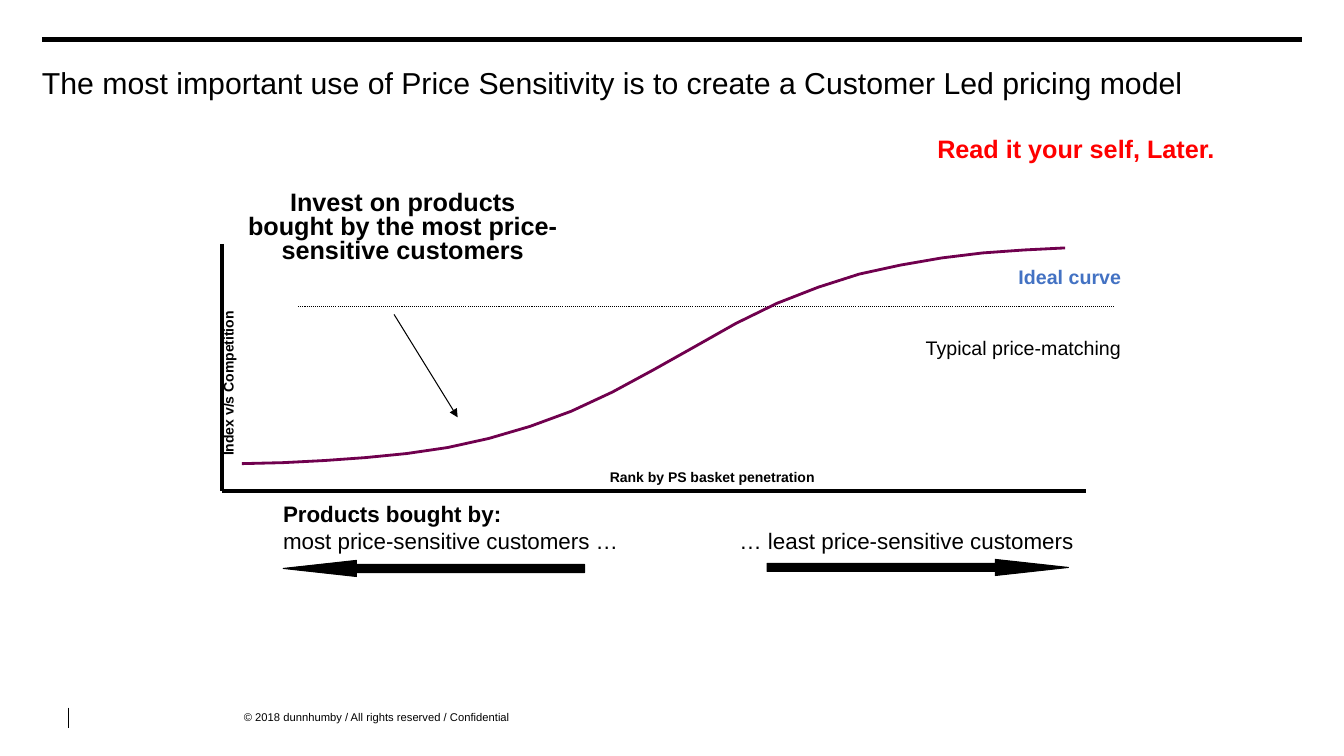
from pptx import Presentation
from pptx.dml.color import RGBColor as Rgb
from pptx.enum.dml import MSO_LINE as Dash
from pptx.enum.shapes import MSO_CONNECTOR as Link, MSO_SHAPE as Form
from pptx.enum.text import MSO_ANCHOR as Anchor, PP_ALIGN as Align
from pptx.oxml.ns import qn
from pptx.util import Pt
from lxml.etree import SubElement as Sub

# Theme
THEME = {
    "font": "Arial",
    "ink": "000000", "blue": "4372C3", "red": "FF0000", "plum": "70004E",
    "title": 21.6, "large": 18, "text": 16, "label": 14, "axis": 10, "foot": 8,
}

# Content: boxes are left, top, width, height
TITLE = ("The most important use of Price Sensitivity is to create "
         "a Customer Led pricing model")
TITLE_BOX = (30, 47.5, 900, 31.7)
PAD = (7.2, 3.6, 7.2, 3.6)
LABELS = [
    dict(text="© 2018 dunnhumby / All rights reserved / Confidential",
         box=(174.2, 507.6, 247.7, 9.4), size="foot", pad=(0, 0, 0, 0)),
    dict(text="Invest on products bought by the most price-sensitive customers",
         box=(151.2, 133.4, 254.9, 68.2), size="large", bold=True,
         align=Align.CENTER, gap=0.8, pad=(25.2, 3.6, 7.2, 3.6)),
    dict(text="Ideal curve", box=(643.7, 185.8, 164.2, 24.5), size="label",
         color="blue", bold=True, align=Align.RIGHT),
    dict(text="Typical price-matching", box=(632.2, 236.2, 175.7, 24.5),
         size="label", align=Align.RIGHT),
    dict(text="Rank by PS basket penetration", box=(338.4, 331.2, 340.6, 19.4),
         size="axis", bold=True, align=Align.CENTER),
    dict(text="Index v/s Competition", box=(55.1, 264.2, 216, 19.4),
         size="axis", bold=True, align=Align.CENTER, turn=270),
    dict(text="Read it your self, Later.", box=(662.4, 91.4, 241.2, 28.8),
         size="large", color="red", bold=True),
]
BUYERS = ("Products bought by:",
          "most price-sensitive customers …\t… least price-sensitive customers")
BUYERS_BOX, BUYERS_TAB = (195.1, 353.5, 618.5, 46.1), 326
LINES = [
    dict(ends=(30, 28.1, 930, 28.1), width=4),
    dict(ends=(49, 505.4, 49, 519.8), width=1),
    dict(ends=(213.1, 218.9, 795.6, 218.9), width=0.75, dash=Dash.ROUND_DOT),
    dict(ends=(281.5, 224.6, 326.9, 298.1), width=0.75, head=True),
    dict(ends=(158.4, 174.2, 158.4, 350.6), width=3.13),
    dict(ends=(158.4, 350.6, 775.4, 350.6), width=3.13),
]
ARROWS = [((547.9, 399.6, 215.3, 11.5), 0), ((202.3, 400.3, 215.3, 11.5), 180)]
CURVE_LEFT, CURVE_STEP = 172.8, 29.4
CURVE = [331.2, 330.5, 329, 326.9, 324, 319.7, 313.2, 304.6, 293.8, 280.1, 264.2,
         247.7, 231.1, 216.7, 205.2, 195.8, 189.4, 184.3, 180.7, 178.6, 177.1]


def points(nums):
    return [Pt(n) for n in nums]


def hue(name):
    return Rgb.from_string(THEME[name])


def put(item, values):
    for name, value in values.items():
        setattr(item, name, value)


def style(font, size, color="ink", bold=False):
    put(font, dict(name=THEME["font"], size=Pt(THEME[size]), bold=bold))
    font.color.rgb = hue(color)


def frame(shape, pad):
    left, top, right, low = points(pad)
    put(shape.text_frame, dict(
        word_wrap=True, vertical_anchor=Anchor.TOP, margin_left=left,
        margin_top=top, margin_right=right, margin_bottom=low))
    return shape.text_frame.paragraphs[0]


def label(text, box, size, color="ink", bold=False, align=Align.LEFT,
          gap=None, pad=PAD, turn=0):
    shape = slide.shapes.add_textbox(*points(box))
    shape.rotation = turn
    para = frame(shape, pad)
    para.add_run().text = text
    put(para, dict(alignment=align, line_spacing=gap))
    style(para.runs[0].font, size, color, bold)


def line(ends, width, dash=None, head=False):
    link = slide.shapes.add_connector(Link.STRAIGHT, *points(ends))
    link.line.color.rgb = hue("ink")
    put(link.line, dict(width=Pt(width), dash_style=dash))
    if head:
        Sub(link.line._get_or_add_ln(), qn("a:tailEnd"), type="triangle")
    Sub(link._element.spPr, qn("a:effectLst"))


deck = Presentation()
put(deck, dict(slide_width=Pt(960), slide_height=Pt(540)))
slide = deck.slides.add_slide(deck.slide_layouts[5])

# Title
title = slide.shapes.title
put(title, dict(zip(("left", "top", "width", "height"), points(TITLE_BOX))))
para = frame(title, (0, 0, 0, 0))
para.add_run().text = TITLE
put(para, dict(alignment=Align.LEFT, line_spacing=Pt(24)))
style(para.runs[0].font, "title")

# Rules, axes and pointer
for item in LINES:
    line(**item)

# Ideal curve
spots = [points((CURVE_LEFT + i * CURVE_STEP, y)) for i, y in enumerate(CURVE)]
pen = slide.shapes.build_freeform(*spots[0])
pen.add_line_segments(spots[1:], close=False)
curve = pen.convert_to_shape()
curve.fill.background()
curve.line.color.rgb = hue("plum")
curve.line.width = Pt(2)
curve.shadow.inherit = False

# Customer arrows
for box, turn in ARROWS:
    arrow = slide.shapes.add_shape(Form.RIGHT_ARROW, *points(box))
    arrow.adjustments[1] = 4.54
    arrow.rotation = turn
    arrow.fill.solid()
    arrow.fill.fore_color.rgb = arrow.line.color.rgb = hue("ink")
    arrow.line.width = Pt(0.75)
    arrow.shadow.inherit = False

# Labels
for item in LABELS:
    label(**item)

# Buyer groups
para = frame(slide.shapes.add_textbox(*points(BUYERS_BOX)), PAD)
tabs = Sub(para._p.get_or_add_pPr(), qn("a:tabLst"))
Sub(tabs, qn("a:tab"), pos=str(Pt(BUYERS_TAB)), algn="l")
head, groups = BUYERS
for text, bold in ((head, True), (groups, False)):
    if not bold:
        para.add_line_break()
    run = para.add_run()
    run.text = text
    style(run.font, "text", bold=bold)

deck.save("out.pptx")
